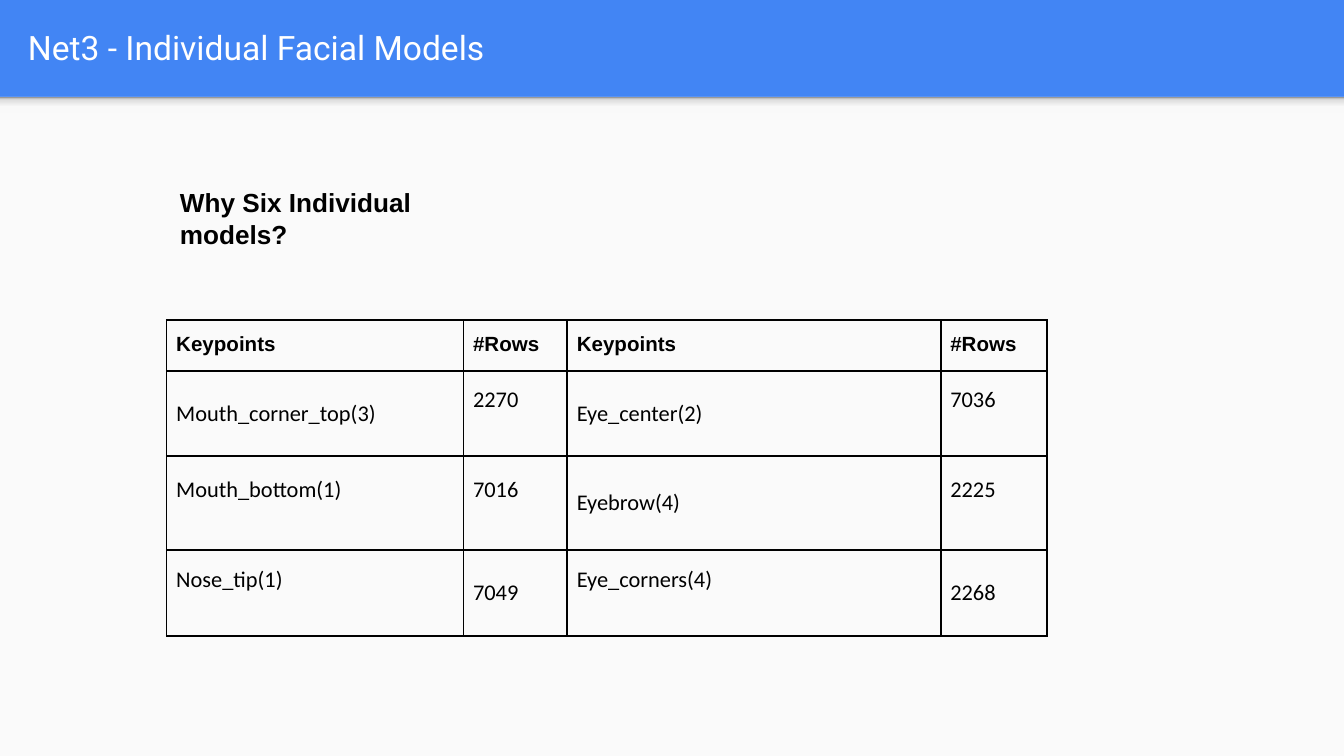
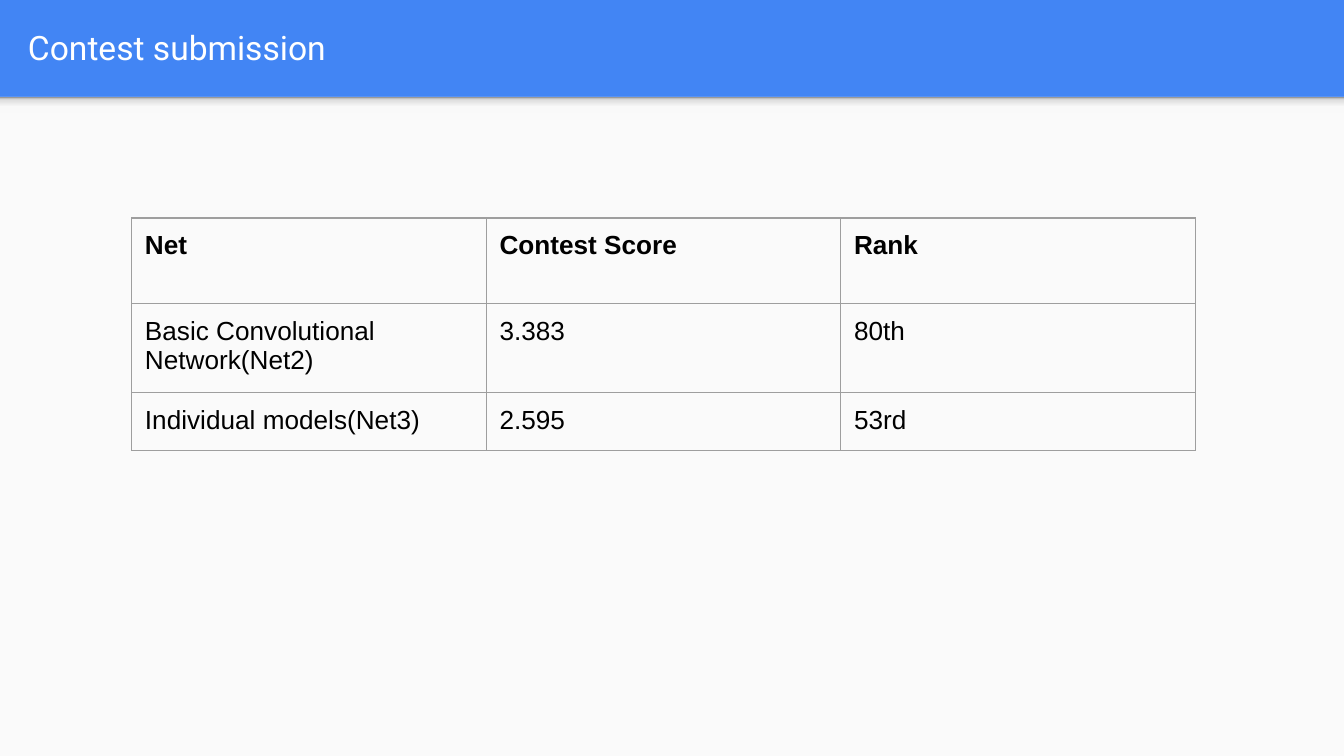
from lxml import etree
from pptx import Presentation
from pptx.dml.color import RGBColor
from pptx.enum.shapes import MSO_SHAPE
from pptx.enum.text import MSO_ANCHOR, PP_ALIGN
from pptx.oxml.ns import qn
from pptx.util import Cm, Pt

RECTANGLE = MSO_SHAPE.RECTANGLE
TOP, MIDDLE = MSO_ANCHOR.TOP, MSO_ANCHOR.MIDDLE
LEFT, JUSTIFY = PP_ALIGN.LEFT, PP_ALIGN.JUSTIFY

COLORS = {
    "header": "4285F4",
    "page": "FAFAFA",
    "title": "FFFFFF",
    "text": "000000",
    "grid": "9E9E9E",
}
SHADOW_STOPS = [(0, "F9F9F9"), (36, "F9F9F9"), (80, "DEDEDE"), (100, "999999")]
SLIDE_W, SLIDE_H, HEADER_H = 25.4, 14.29, 1.83
INSET = 0.25
LINE_LIFT = 0.51  # extra bottom margin that raises a cell's text by half a line


def color(name):
    return RGBColor.from_string(COLORS[name])


def style_paragraph(paragraph, font, size, color_name="text", bold=False, align=LEFT):
    paragraph.alignment = align
    paragraph.font.name = font
    paragraph.font.size = Pt(size)
    paragraph.font.bold = bold
    paragraph.font.color.rgb = color(color_name)


def add_text(slide, text, left, top, width, height, anchor=TOP, **style):
    frame = slide.shapes.add_textbox(Cm(left), Cm(top), Cm(width), Cm(height)).text_frame
    frame.word_wrap = True
    frame.vertical_anchor = anchor
    frame.margin_left = frame.margin_right = Cm(INSET)
    frame.margin_top = frame.margin_bottom = Cm(INSET)
    frame.text = text
    style_paragraph(frame.paragraphs[0], **style)


def add_band(slide, height):
    """Add a full-width band below the header."""
    band = slide.shapes.add_shape(RECTANGLE, 0, Cm(HEADER_H), Cm(SLIDE_W), Cm(height))
    band.shadow.inherit = False
    band.line.fill.background()
    return band


def add_header_shadow(slide):
    shadow = add_band(slide, 0.3)
    shadow.fill.gradient()
    shadow.fill.gradient_angle = 90
    stops = shadow.fill._xPr.find(qn("a:gradFill")).find(qn("a:gsLst"))
    stops.clear()
    for position, value in SHADOW_STOPS:
        stop = etree.SubElement(stops, qn("a:gs"), pos=str(position * 1000))
        etree.SubElement(stop, qn("a:srgbClr"), val=value)


def add_titled_slide(prs, title):
    slide = prs.slides.add_slide(prs.slide_layouts[6])
    slide.background.fill.solid()
    slide.background.fill.fore_color.rgb = color("header")
    page = add_band(slide, SLIDE_H - HEADER_H)
    page.fill.solid()
    page.fill.fore_color.rgb = color("page")
    add_header_shadow(slide)
    add_text(slide, title, 0.28, 0.05, 24.5, 1.68, anchor=MIDDLE,
             font="Roboto", size=18, color_name="title")
    return slide


def set_borders(cell, color_name, width):
    properties = cell._tc.get_or_add_tcPr()
    for side in ("lnL", "lnR", "lnT", "lnB"):
        line = etree.SubElement(properties, qn("a:" + side), w=str(Pt(width)))
        fill = etree.SubElement(line, qn("a:solidFill"))
        etree.SubElement(fill, qn("a:srgbClr"), val=COLORS[color_name])


def add_table(slide, rows, left, top, widths, heights, border, side_inset,
              header_style, body_style, body_anchor=TOP, lifted=()):
    frame = slide.shapes.add_table(len(rows), len(widths), Cm(left), Cm(top),
                                   Cm(sum(widths)), Cm(sum(heights)))
    table = frame.table
    table.first_row = table.horz_banding = False
    for column, width in zip(table.columns, widths):
        column.width = Cm(width)
    for row, height in zip(table.rows, heights):
        row.height = Cm(height)
    for r, values in enumerate(rows):
        for c, value in enumerate(values):
            cell = table.cell(r, c)
            set_borders(cell, *border)
            cell.fill.background()
            cell.margin_left = cell.margin_right = Cm(side_inset)
            cell.margin_top = Cm(INSET)
            cell.margin_bottom = Cm(INSET + (LINE_LIFT if value in lifted else 0))
            cell.vertical_anchor = body_anchor if r else TOP
            cell.text = value
            style_paragraph(cell.text_frame.paragraphs[0],
                            **(body_style if r else header_style))


def build_facial_models(prs):
    slide = add_titled_slide(prs, "Net3 - Individual Facial Models")
    keypoint_rows = [
        ("Keypoints", "#Rows", "Keypoints", "#Rows"),
        ("Mouth_corner_top(3)", "2270", "Eye_center(2)", "7036"),
        ("Mouth_bottom(1)", "7016", "Eyebrow(4)", "2225"),
        ("Nose_tip(1)", "7049", "Eye_corners(4)", "2268"),
    ]
    add_table(slide, keypoint_rows, 3.15, 6.05,
              widths=(5.61, 1.96, 7.06, 2.01), heights=(0.94, 1.6, 1.78, 1.63),
              border=("text", 1), side_inset=0.18,
              header_style=dict(font="Arial", size=11, bold=True),
              body_style=dict(font="Calibri", size=12, align=JUSTIFY),
              body_anchor=MIDDLE,
              lifted=("2270", "7036", "Mouth_bottom(1)", "7016", "2225",
                      "Nose_tip(1)", "Eye_corners(4)"))
    add_text(slide, "Why Six Individual models?", 3.15, 3.28, 5.79, 1.73,
             font="Arial", size=14, bold=True)


def build_submission(prs):
    slide = add_titled_slide(prs, "Contest submission")
    score_rows = [
        ("Net", "Contest Score", "Rank"),
        ("Basic Convolutional Network(Net2)", "3.383", "80th"),
        ("Individual models(Net3)", "2.595", "53rd"),
    ]
    add_table(slide, score_rows, 2.49, 4.12,
              widths=(6.7,) * 3, heights=(1.61, 1.61, 1.07),
              border=("grid", 0.75), side_inset=INSET,
              header_style=dict(font="Arial", size=14, bold=True),
              body_style=dict(font="Arial", size=14))


def main():
    prs = Presentation()
    prs.slide_width, prs.slide_height = Cm(SLIDE_W), Cm(SLIDE_H)
    build_facial_models(prs)
    build_submission(prs)
    prs.save("out.pptx")


if __name__ == "__main__":
    main()
